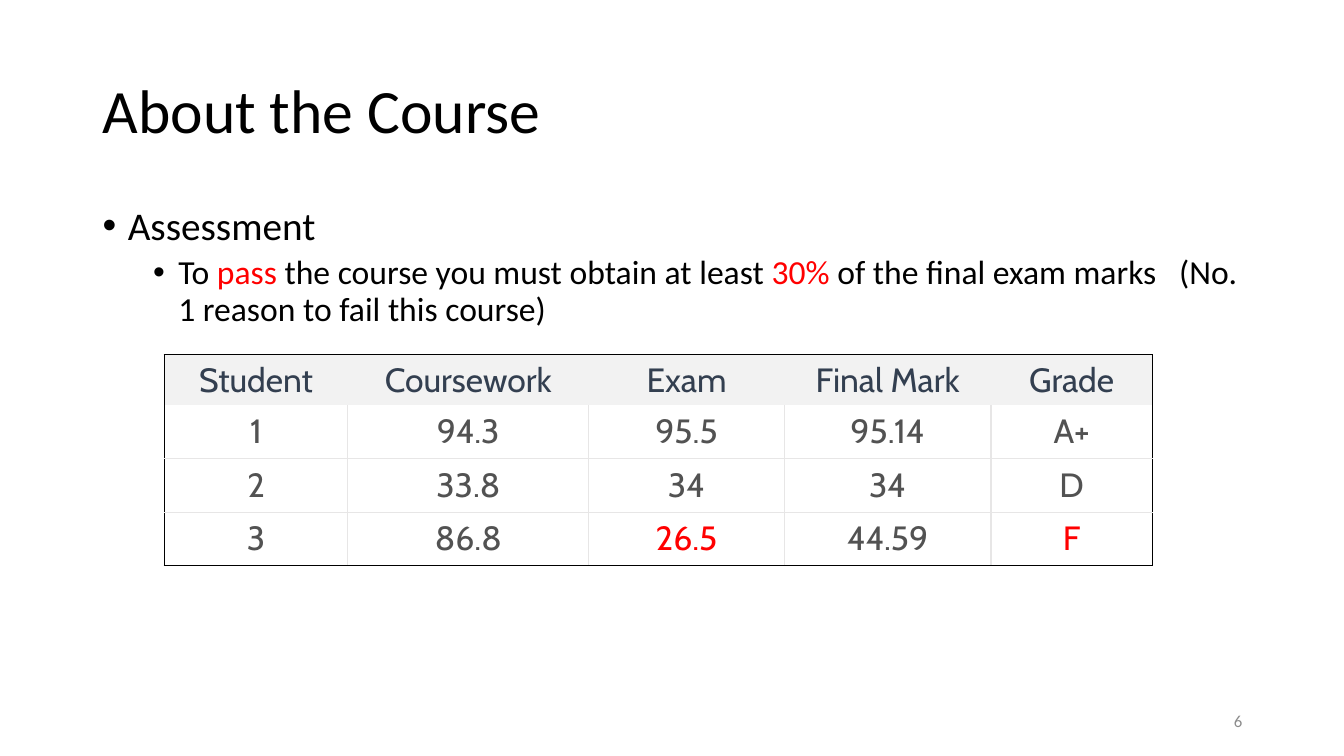
import pptx
import pptx.dml.color
import pptx.enum.text
import pptx.oxml.ns
import pptx.util
from lxml import etree

Inches, Pt = pptx.util.Inches, pptx.util.Pt
RGBColor = pptx.dml.color.RGBColor
ALIGN, ANCHOR = pptx.enum.text.PP_ALIGN, pptx.enum.text.MSO_ANCHOR
qn = pptx.oxml.ns.qn

BLACK = RGBColor(0x00, 0x00, 0x00)
RED = RGBColor(0xFF, 0x00, 0x00)
GREY = RGBColor(0x8C, 0x8C, 0x8C)
NAVY = RGBColor(0x33, 0x3F, 0x50)
MARK_GREY = RGBColor(0x52, 0x52, 0x52)
HEADER_FILL = RGBColor(0xF2, 0xF2, 0xF2)
GRID = RGBColor(0xE7, 0xE6, 0xE6)

# Content
TITLE = "About the Course"
TOPIC = "Assessment"
PASS_RULE = [
    ("To ", BLACK), ("pass", RED),
    (" the course you must obtain at least ", BLACK), ("30%", RED),
    (" of the final exam marks", BLACK),
]
PASS_NOTE = "(No. 1 reason to fail this course)"
NOTE_GAP = 10.8  # extra points between the rule and its note
PAGE = "6"
MARKS = [
    ("Student", "Coursework", "Exam", "Final Mark", "Grade"),
    ("1", "94.3", "95.5", "95.14", "A+"),
    ("2", "33.8", "34", "34", "D"),
    ("3", "86.8", "26.5", "44.59", "F"),
]
FAILING = {"26.5", "F"}
COLUMN_WIDTHS = (1.82, 2.39, 1.94, 2.05, 1.6)
ROW_HEIGHTS = (0.5, 0.53, 0.53, 0.53)


def add_text(paragraph, text, size=24, color=BLACK, font="Calibri", spacing=0):
    run = paragraph.add_run()
    run.text = text
    run.font.size, run.font.name, run.font.bold = Pt(size), font, False
    run.font.color.rgb = color
    if spacing:
        run.font._element.set("spc", str(round(spacing * 100)))


def text_frame(left, top, width, height, anchor):
    box = slide.shapes.add_textbox(*map(Inches, (left, top, width, height)))
    frame = box.text_frame
    frame.word_wrap, frame.vertical_anchor = True, anchor
    return frame


def make_bullet(paragraph, indent):
    properties = paragraph._p.get_or_add_pPr()
    properties.set("marL", str(Inches(indent)))
    properties.set("indent", str(Inches(-0.25)))
    etree.SubElement(properties, qn("a:buFont")).set("typeface", "Arial")
    etree.SubElement(properties, qn("a:buChar")).set("char", "•")
    paragraph.line_spacing = 0.9


def set_border(cell, side, color):
    line = etree.Element(qn("a:ln" + side), w=str(Pt(1)))
    if color is None:
        etree.SubElement(line, qn("a:noFill"))
    else:
        fill = etree.SubElement(line, qn("a:solidFill"))
        etree.SubElement(fill, qn("a:srgbClr")).set("val", str(color))
    cell._tc.get_or_add_tcPr().append(line)


presentation = pptx.Presentation()
presentation.slide_width, presentation.slide_height = Inches(13.33), Inches(7.5)
slide = presentation.slides.add_slide(presentation.slide_layouts[6])

# Title
title = text_frame(0.92, 0.4, 11.5, 1.45, ANCHOR.MIDDLE).paragraphs[0]
title.line_spacing = 0.9
add_text(title, TITLE, size=44)

# Assessment rule
body = text_frame(0.92, 2, 11.5, 4.76, ANCHOR.TOP)
topic = body.paragraphs[0]
make_bullet(topic, 0.25)
add_text(topic, TOPIC, size=28)

pass_rule = body.add_paragraph()
make_bullet(pass_rule, 0.75)
pass_rule.level = 1
pass_rule.space_before = Pt(5)
for words, color in PASS_RULE:
    add_text(pass_rule, words, color=color)
add_text(pass_rule, " ", spacing=NOTE_GAP)
add_text(pass_rule, PASS_NOTE)

# Page number
page = text_frame(9.42, 6.95, 3, 0.4, ANCHOR.MIDDLE).paragraphs[0]
page.alignment = ALIGN.RIGHT
add_text(page, PAGE, size=12, color=GREY)

# Marks table: black frame, light grid below the header
marks = slide.shapes.add_table(
    len(MARKS), len(COLUMN_WIDTHS), Inches(1.63), Inches(3.52),
    Inches(sum(COLUMN_WIDTHS)), Inches(sum(ROW_HEIGHTS))).table
marks.first_row = marks.horz_banding = False
for column, width in zip(marks.columns, COLUMN_WIDTHS):
    column.width = Inches(width)
for row, height in zip(marks.rows, ROW_HEIGHTS):
    row.height = Inches(height)

last_row, last_column = len(MARKS) - 1, len(COLUMN_WIDTHS) - 1
for r, record in enumerate(MARKS):
    is_header = r == 0
    inner = None if is_header else GRID
    for c, value in enumerate(record):
        cell = marks.cell(r, c)
        set_border(cell, "L", BLACK if c == 0 else inner)
        set_border(cell, "R", BLACK if c == last_column else inner)
        set_border(cell, "T", BLACK if is_header else GRID if r > 1 else None)
        set_border(cell, "B", BLACK if r == last_row else inner)
        if is_header:
            cell.fill.solid()
            cell.fill.fore_color.rgb = HEADER_FILL
            color = NAVY
        else:
            cell.fill.background()
            cell.vertical_anchor = ANCHOR.MIDDLE
            color = RED if value in FAILING else MARK_GREY
        entry = cell.text_frame.paragraphs[0]
        entry.alignment = ALIGN.CENTER
        add_text(entry, value, color=color, font="Cabin")

presentation.save("out.pptx")
